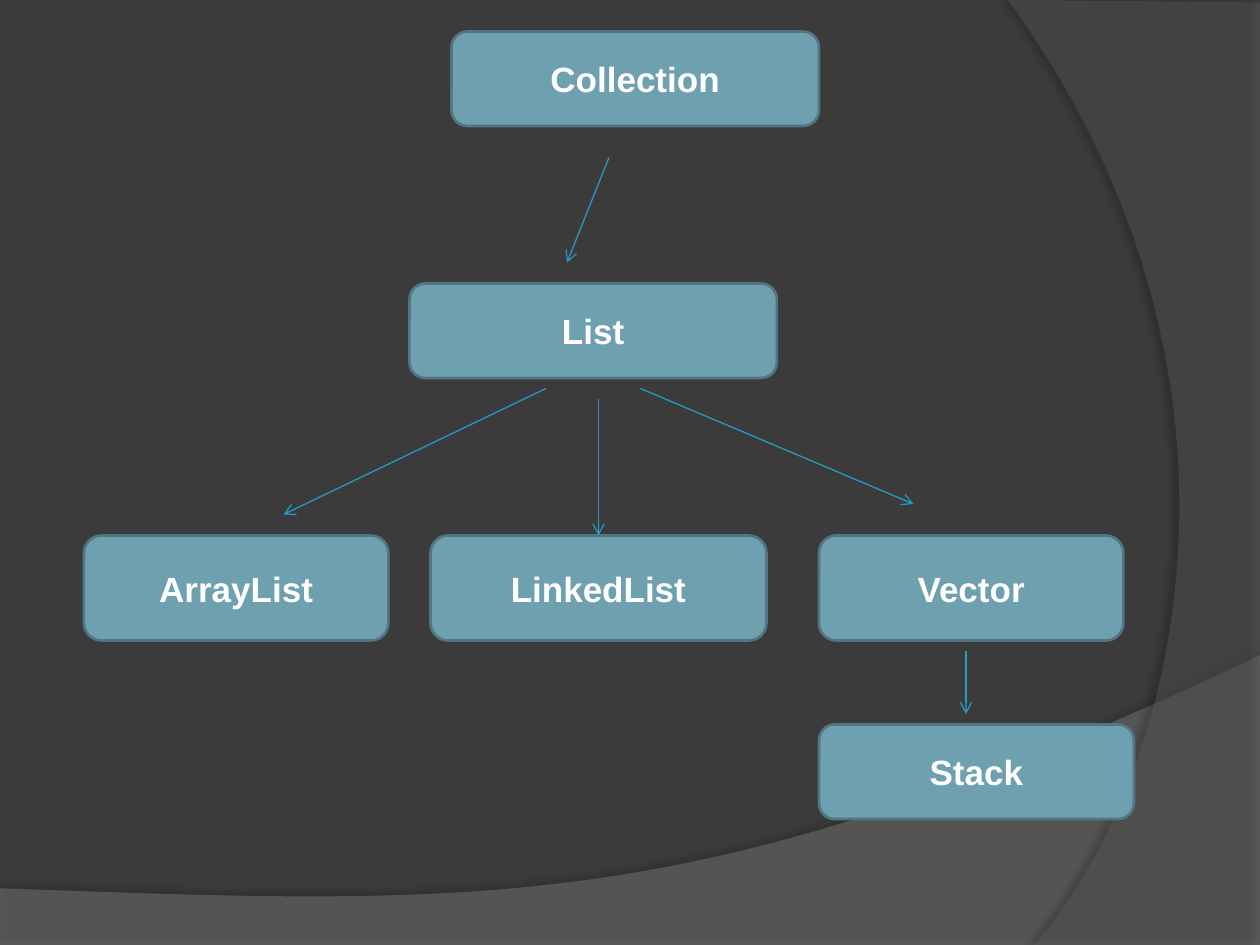
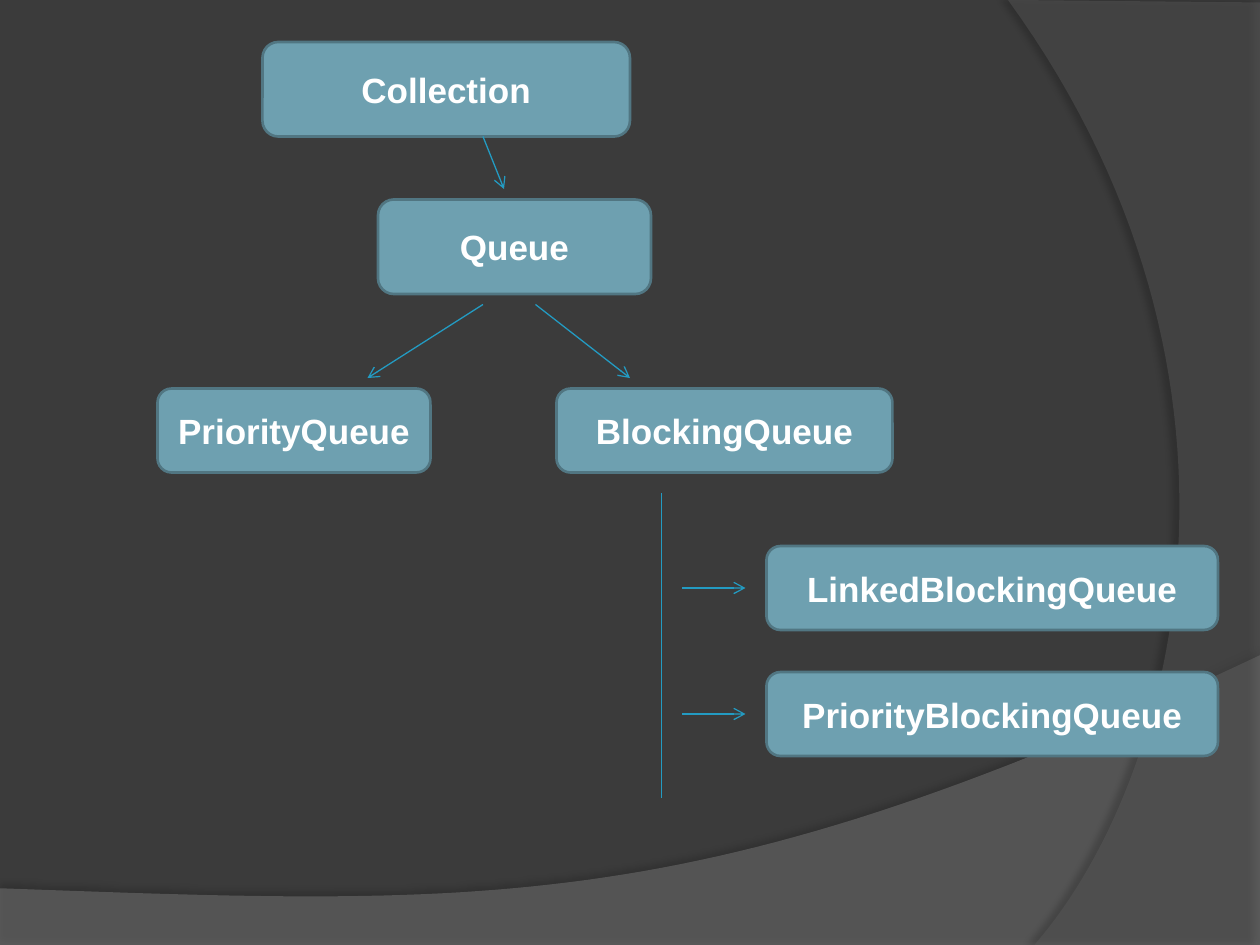
"""Build two slides with the class hierarchies of List and Queue."""

from dataclasses import dataclass

from lxml.etree import SubElement
from pptx import Presentation
from pptx.dml.color import RGBColor
from pptx.enum.shapes import MSO_CONNECTOR, MSO_SHAPE
from pptx.enum.text import MSO_ANCHOR, PP_ALIGN
from pptx.oxml.ns import qn
from pptx.util import Pt

BACKGROUND = RGBColor(0x3B, 0x3B, 0x3B)
BOTTOM_BAND = RGBColor(0x7F, 0x7F, 0x7F)
RIGHT_BAND = RGBColor(0x5E, 0x5E, 0x5E)
SHADOW = RGBColor(0x00, 0x00, 0x00)
NODE_FILL = RGBColor(0x6E, 0xA0, 0xB0)
NODE_LINE = RGBColor(0x51, 0x76, 0x82)
ARROW = RGBColor(0x23, 0x9B, 0xC2)
WHITE = RGBColor(0xFF, 0xFF, 0xFF)
FONT = "Arial"
CURVE_STEPS = 60

Point = tuple[float, float]


@dataclass(frozen=True)
class Band:
    corners: list[Point]
    curve: tuple[Point, Point, Point]
    color: RGBColor
    opacity: int
    shadow_opacity: int
    shadow_distance: float
    shadow_angle: int


@dataclass(frozen=True)
class Node:
    label: str
    left: float
    top: float
    width: float
    height: float


@dataclass(frozen=True)
class Link:
    start: Point
    end: Point
    headed: bool = True
    target: str = ""


@dataclass(frozen=True)
class Hierarchy:
    nodes: list[Node]
    links: list[Link]


BANDS = [
    Band([(0, 507.6), (0, 540.72), (720, 540.72), (720, 374.4)],
         ((402.5, 524.9), (281.5, 517.7), (0, 507.6)),
         BOTTOM_BAND, 45, 35, 3.5, 270),
    Band([(720, 1.44), (720, 540), (591.1, 540)],
         ((673.2, 445.7), (733, 216), (576, 0)),
         RIGHT_BAND, 40, 45, 4, 180),
]

HIERARCHIES = [
    Hierarchy(
        [Node("Collection", 258, 18, 210, 54),
         Node("List", 234, 162, 210, 54),
         Node("ArrayList", 48, 306, 174, 60),
         Node("LinkedList", 246, 306, 192, 60),
         Node("Vector", 468, 306, 174, 60),
         Node("Stack", 468, 414, 180, 54)],
        [Link((348, 90), (324, 150)),
         Link((312, 222), (162, 294)),
         Link((342, 228), (342, 306), target="LinkedList"),
         Link((366, 222), (522, 288)),
         Link((552, 372), (552, 408))],
    ),
    Hierarchy(
        [Node("Collection", 150, 24, 210, 54),
         Node("Queue", 216, 114, 156, 54),
         Node("PriorityQueue", 90, 222, 156, 48),
         Node("BlockingQueue", 318, 222, 192, 48),
         Node("LinkedBlockingQueue", 438, 312, 258, 48),
         Node("PriorityBlockingQueue", 438, 384, 258, 48)],
        [Link((276, 78), (288, 108)),
         Link((276, 174), (210, 216)),
         Link((306, 174), (360, 216)),
         Link((378, 282), (378, 456), headed=False),
         Link((390, 336), (426, 336)),
         Link((390, 408), (426, 408))],
    ),
]


def bezier(start: Point, curve: tuple[Point, Point, Point]) -> list[Point]:
    """Return points along a cubic curve, without its start."""
    points = (start, *curve)
    outline = []
    for step in range(1, CURVE_STEPS + 1):
        t = step / CURVE_STEPS
        weights = ((1 - t) ** 3, 3 * t * (1 - t) ** 2, 3 * t * t * (1 - t), t ** 3)
        x, y = (sum(w * p[axis] for w, p in zip(weights, points)) for axis in (0, 1))
        outline.append((x, y))
    return outline


def add_color(parent, color: RGBColor, opacity: int) -> None:
    """Append a colour with the given opacity in percent."""
    srgb = SubElement(parent, qn("a:srgbClr"), val=str(color))
    SubElement(srgb, qn("a:alpha"), val=str(opacity * 1000))


def add_band(slide, master, band: Band, band_id: int) -> None:
    """Draw a curved translucent band and place it on the master."""
    outline = band.corners + bezier(band.corners[-1], band.curve)
    vertices = [(Pt(x), Pt(y)) for x, y in outline]
    builder = slide.shapes.build_freeform(*vertices[0])
    builder.add_line_segments(vertices[1:], close=True)
    shape = builder.convert_to_shape()
    shape.line.fill.background()
    shape.fill.solid()
    shape.fill.fore_color.rgb = band.color
    properties = shape.element.spPr
    fill_color = properties.find(qn("a:solidFill")).find(qn("a:srgbClr"))
    SubElement(fill_color, qn("a:alpha"), val=str(band.opacity * 1000))
    effects = SubElement(properties, qn("a:effectLst"))
    shadow = SubElement(
        effects, qn("a:outerShdw"), blurRad=str(Pt(4)),
        dist=str(Pt(band.shadow_distance)), dir=str(band.shadow_angle * 60000),
        algn="ctr", rotWithShape="0")
    add_color(shadow, SHADOW, band.shadow_opacity)
    shape.element.nvSpPr.cNvPr.id = band_id
    master.shapes.element.append(shape.element)


def add_node(slide, node: Node):
    """Draw a rounded box with its class name."""
    shape = slide.shapes.add_shape(
        MSO_SHAPE.ROUNDED_RECTANGLE,
        Pt(node.left), Pt(node.top), Pt(node.width), Pt(node.height))
    shape.shadow.inherit = False
    shape.fill.solid()
    shape.fill.fore_color.rgb = NODE_FILL
    shape.line.color.rgb = NODE_LINE
    shape.line.width = Pt(1.5)
    frame = shape.text_frame
    frame.text = node.label
    frame.vertical_anchor = MSO_ANCHOR.MIDDLE
    paragraph = frame.paragraphs[0]
    paragraph.alignment = PP_ALIGN.CENTER
    font = paragraph.runs[0].font
    font.name, font.size, font.bold = FONT, Pt(20), True
    font.color.rgb = WHITE
    return shape


def add_link(slide, link: Link, boxes: dict) -> None:
    """Draw a line between levels, with an open arrowhead if headed."""
    connector = slide.shapes.add_connector(
        MSO_CONNECTOR.STRAIGHT, *(Pt(value) for value in link.start + link.end))
    if link.target:
        connector.end_connect(boxes[link.target], 0)
    connector.line.color.rgb = ARROW
    connector.line.width = Pt(0.75)
    properties = connector.element.spPr
    if link.headed:
        SubElement(properties.find(qn("a:ln")), qn("a:tailEnd"), type="arrow")
    SubElement(properties, qn("a:effectLst"))


def add_hierarchy(slide, hierarchy: Hierarchy) -> None:
    """Draw all boxes and links of one hierarchy."""
    boxes = {node.label: add_node(slide, node) for node in hierarchy.nodes}
    for link in hierarchy.links:
        add_link(slide, link, boxes)


def main() -> None:
    """Build and save the presentation."""
    prs = Presentation()
    prs.slide_width, prs.slide_height = Pt(720), Pt(540)
    master = prs.slide_master
    master.background.fill.solid()
    master.background.fill.fore_color.rgb = BACKGROUND
    slides = [prs.slides.add_slide(prs.slide_layouts[6]) for _ in HIERARCHIES]
    for band_id, band in enumerate(BANDS, start=101):
        add_band(slides[0], master, band, band_id)
    for slide, hierarchy in zip(slides, HIERARCHIES):
        add_hierarchy(slide, hierarchy)
    prs.save("out.pptx")


if __name__ == "__main__":
    main()
